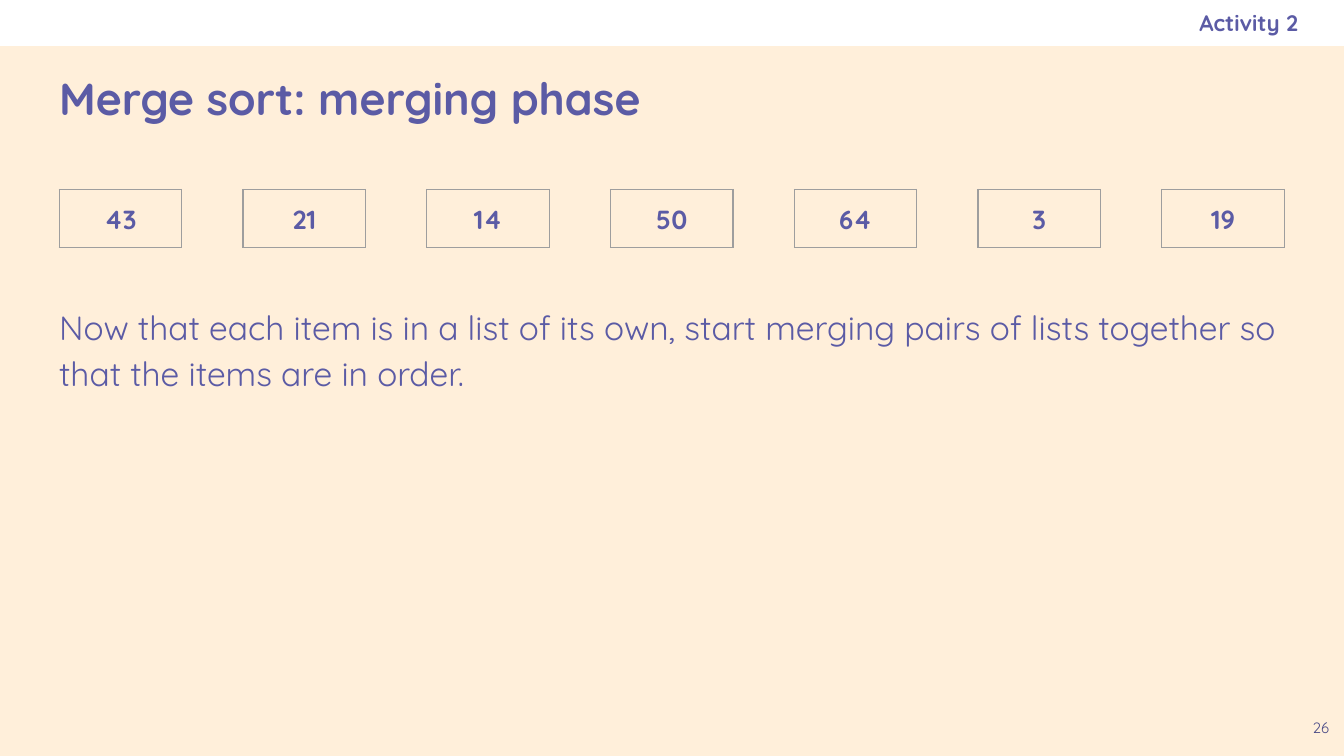
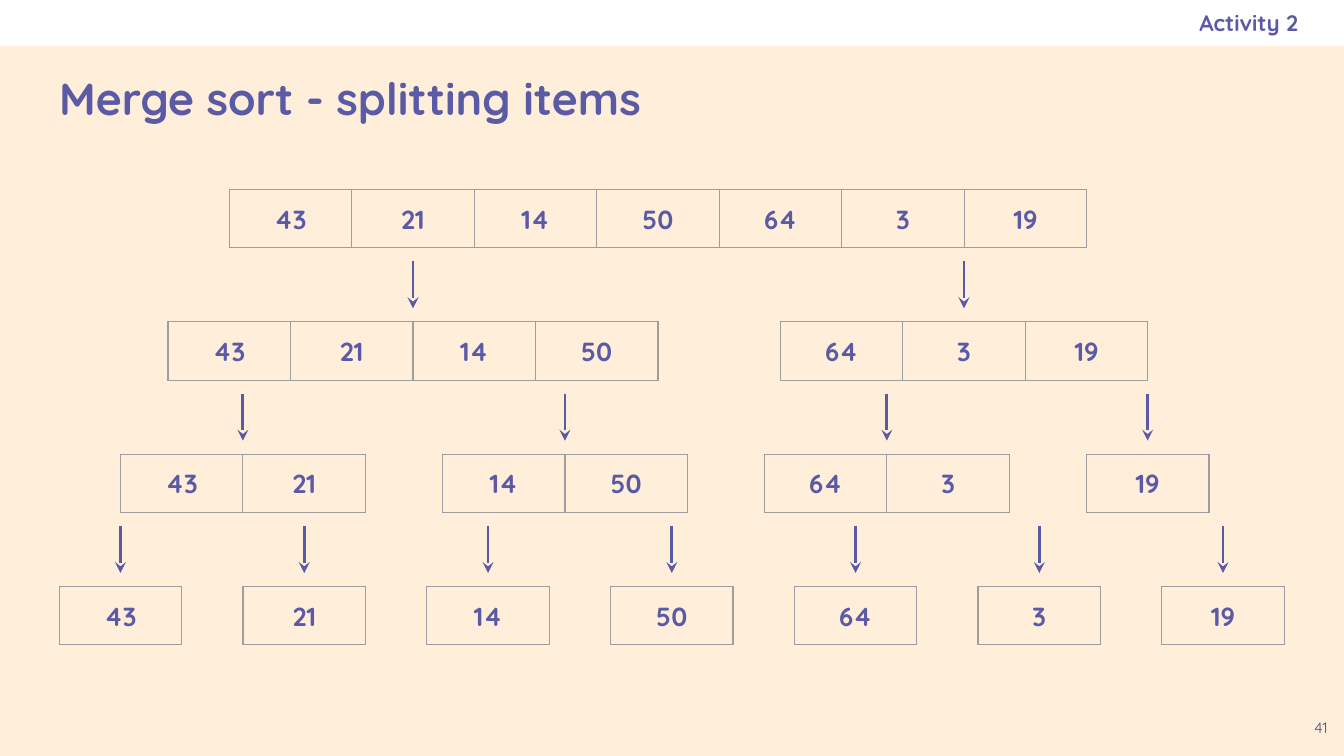
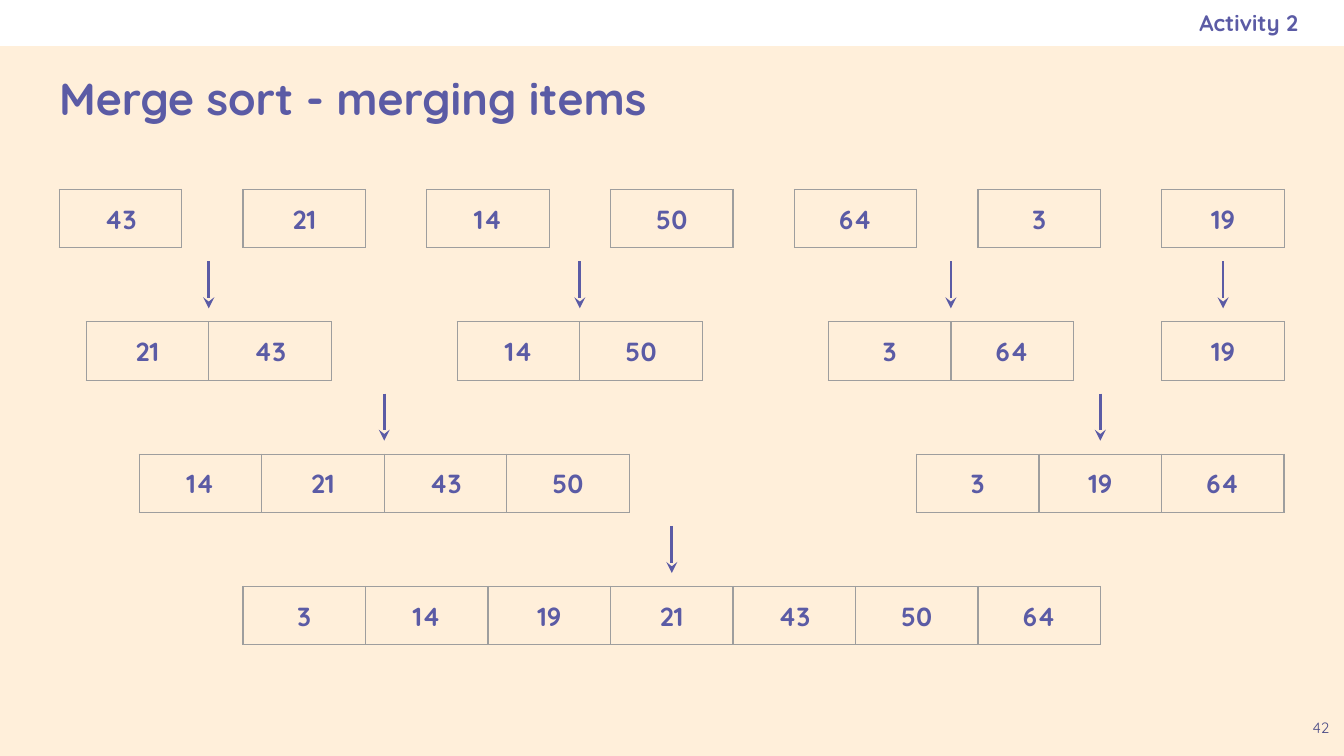
from lxml.etree import SubElement
from pptx import Presentation
from pptx.dml.color import RGBColor
from pptx.enum.shapes import MSO_CONNECTOR, MSO_SHAPE
from pptx.enum.text import MSO_ANCHOR, PP_ALIGN
from pptx.oxml import parse_xml
from pptx.oxml.ns import nsdecls, qn
from pptx.util import Pt

# Shared look
FONT = "Quicksand"
CREAM = RGBColor(0xFF, 0xEF, 0xDA)
WHITE = RGBColor(0xFF, 0xFF, 0xFF)
PURPLE = RGBColor(0x5B, 0x5B, 0xA5)
DARK = RGBColor(0x49, 0x49, 0x85)
GREY = "9E9E9E"
WIDE, HIGH = 720, 405
EDGE, BAND, PAD = 24.6, 24.6, 7.2

# List layout
CELL_W, CELL_H = 65.63, 30.24
TOP, STEP = 101.5, 70.9
LEFT = 31.75
GAP = CELL_W / 2

# Content: each row of a slide holds (left, items) pairs
ITEMS = [43, 21, 14, 50, 64, 3, 19]
LONE = [(LEFT + i * (CELL_W + GAP), [item]) for i, item in enumerate(ITEMS)]
LAST = LONE[-1]

SPLIT = [
    [(122.8, ITEMS)],
    [(90, ITEMS[:4]), (418, ITEMS[4:])],
    [(64.5, [43, 21]), (237, [14, 50]), (409.5, [64, 3]), (582, [19])],
    LONE,
]
MERGE = [
    LONE,
    [(46.2, [21, 43]), (245, [14, 50]), (443.8, [3, 64]), LAST],
    [(74.6, [14, 21, 43, 50]), (491, [3, 19, 64])],
    [(130.2, sorted(ITEMS))],
]
SLIDES = [
    ("Merge sort: merging phase", 26, [LONE],
     "Now that each item is in a list of its own, start merging pairs of "
     "lists together so that the items are in order."),
    ("Merge sort - splitting items", 41, SPLIT, None),
    ("Merge sort - merging items", 42, MERGE, None),
]


def style(para, size, color=PURPLE, bold=False, align=PP_ALIGN.LEFT):
    para.alignment = align
    font = para.font
    font.name, font.size, font.bold = FONT, Pt(size), bold
    font.color.rgb = color


def add_text(slide, text, box, size, anchor=MSO_ANCHOR.TOP, right=PAD, **look):
    frame = slide.shapes.add_textbox(*map(Pt, box)).text_frame
    frame.word_wrap = True
    frame.vertical_anchor = anchor
    frame.margin_left = frame.margin_top = frame.margin_bottom = Pt(PAD)
    frame.margin_right = Pt(right)
    para = frame.paragraphs[0]
    para.text = text
    style(para, size, **look)
    return para


def add_frame(slide, title, number):
    # White band, title, page number and section name
    band = slide.shapes.add_shape(MSO_SHAPE.RECTANGLE, 0, 0, Pt(WIDE), Pt(BAND))
    band.shadow.inherit = False
    band.fill.solid()
    band.fill.fore_color.rgb = WHITE
    band.line.fill.background()
    add_text(slide, title, (EDGE, BAND, WIDE - 2 * EDGE, 55.4), 24,
             MSO_ANCHOR.MIDDLE, bold=True)
    add_text(slide, str(number), (WIDE - EDGE, HIGH - EDGE, EDGE, EDGE), 8,
             color=DARK, align=PP_ALIGN.CENTER)
    add_text(slide, "Activity 2", (414, 0, WIDE - EDGE - 414, BAND), 12,
             MSO_ANCHOR.MIDDLE, right=0, bold=True, align=PP_ALIGN.RIGHT)


def add_border(cell):
    props = cell._tc.get_or_add_tcPr()
    for i, side in enumerate("LRTB"):
        props.insert(i, parse_xml(
            f'<a:ln{side} {nsdecls("a")} w="{Pt(0.75)}"><a:solidFill>'
            f'<a:srgbClr val="{GREY}"/></a:solidFill></a:ln{side}>'))


def add_list(slide, left, top, items):
    table = slide.shapes.add_table(
        1, len(items), Pt(left), Pt(top),
        Pt(CELL_W * len(items)), Pt(CELL_H)).table
    table.first_row = table.horz_banding = False
    for col, item in enumerate(items):
        table.columns[col].width = Pt(CELL_W)
        cell = table.cell(0, col)
        cell.fill.background()
        cell.margin_left = cell.margin_right = Pt(PAD)
        cell.margin_top = cell.margin_bottom = Pt(PAD)
        cell.text = str(item)
        style(cell.text_frame.paragraphs[0], 14, bold=True,
              align=PP_ALIGN.CENTER)
        add_border(cell)


def add_arrow(slide, x, top):
    # Short arrow pointing at the list that starts at top
    arrow = slide.shapes.add_connector(
        MSO_CONNECTOR.STRAIGHT, Pt(x), Pt(top - 32.4), Pt(x), Pt(top - PAD))
    arrow.line.color.rgb = PURPLE
    arrow.line.width = Pt(1.5)
    SubElement(arrow.line._get_or_add_ln(), qn("a:tailEnd"), type="stealth")
    SubElement(arrow._element.spPr, qn("a:effectLst"))


def main():
    deck = Presentation()
    deck.slide_width, deck.slide_height = Pt(WIDE), Pt(HIGH)
    back = deck.slide_master.background.fill
    back.solid()
    back.fore_color.rgb = CREAM

    for title, number, rows, note in SLIDES:
        slide = deck.slides.add_slide(deck.slide_layouts[6])
        add_frame(slide, title, number)
        for level, row in enumerate(rows):
            top = TOP + level * STEP
            for left, items in row:
                add_list(slide, left, top, items)
                if level:
                    add_arrow(slide, left + CELL_W * len(items) / 2, top)
        if note:
            para = add_text(slide, note, (EDGE, 154, WIDE - 2 * EDGE, 101.5), 18)
            para.line_spacing = 1.15
            para.space_after = Pt(16)

    deck.save("out.pptx")


if __name__ == "__main__":
    main()
